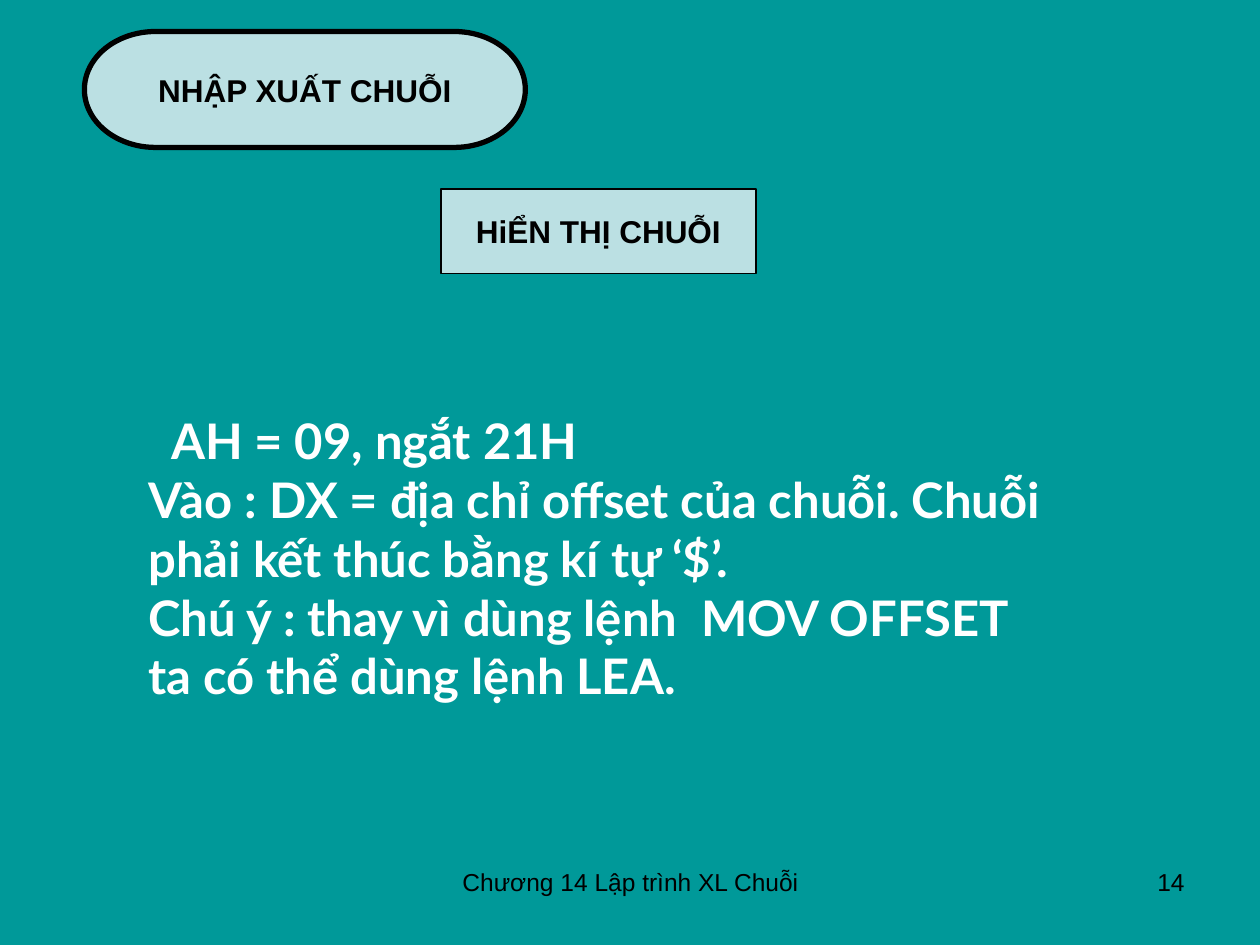
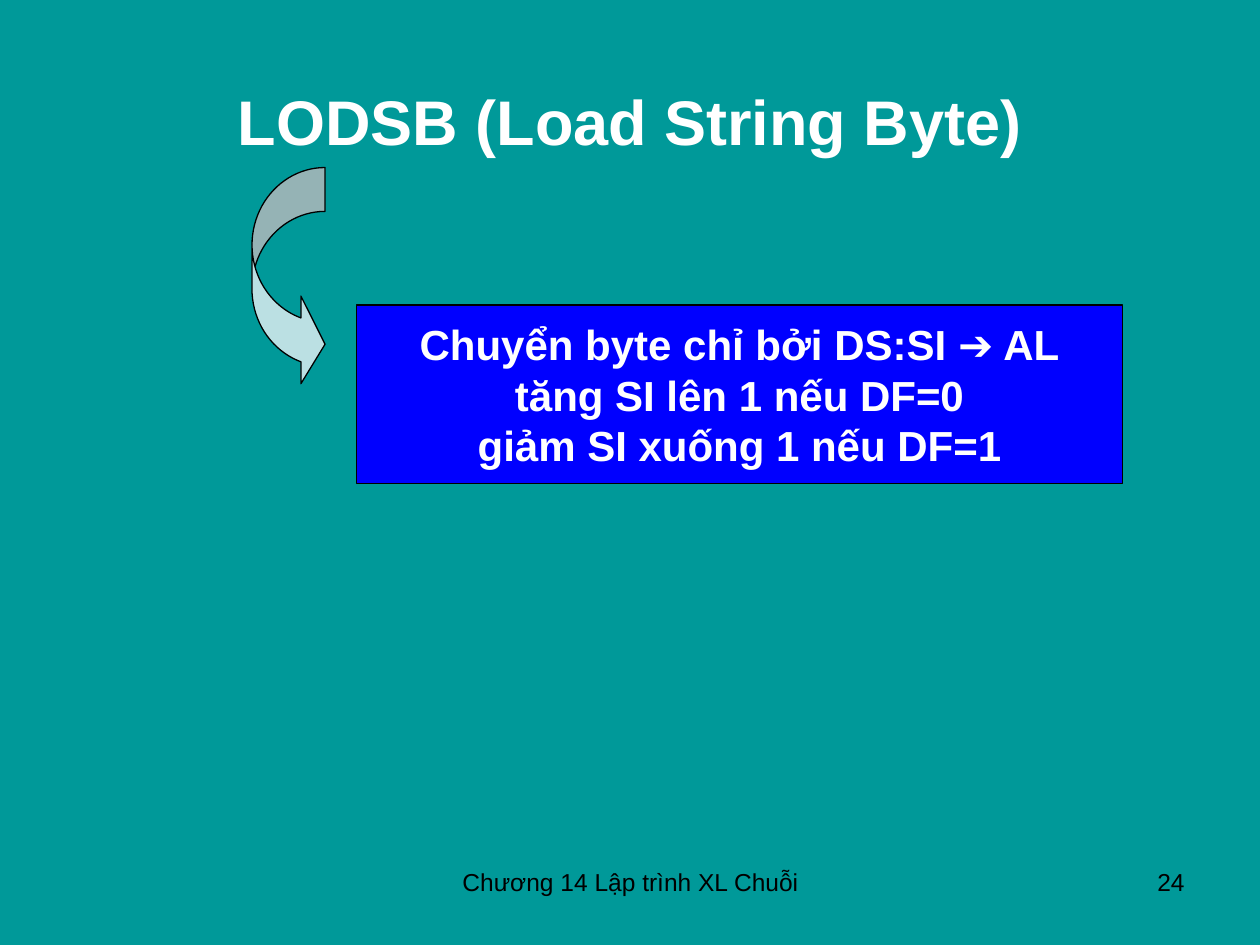
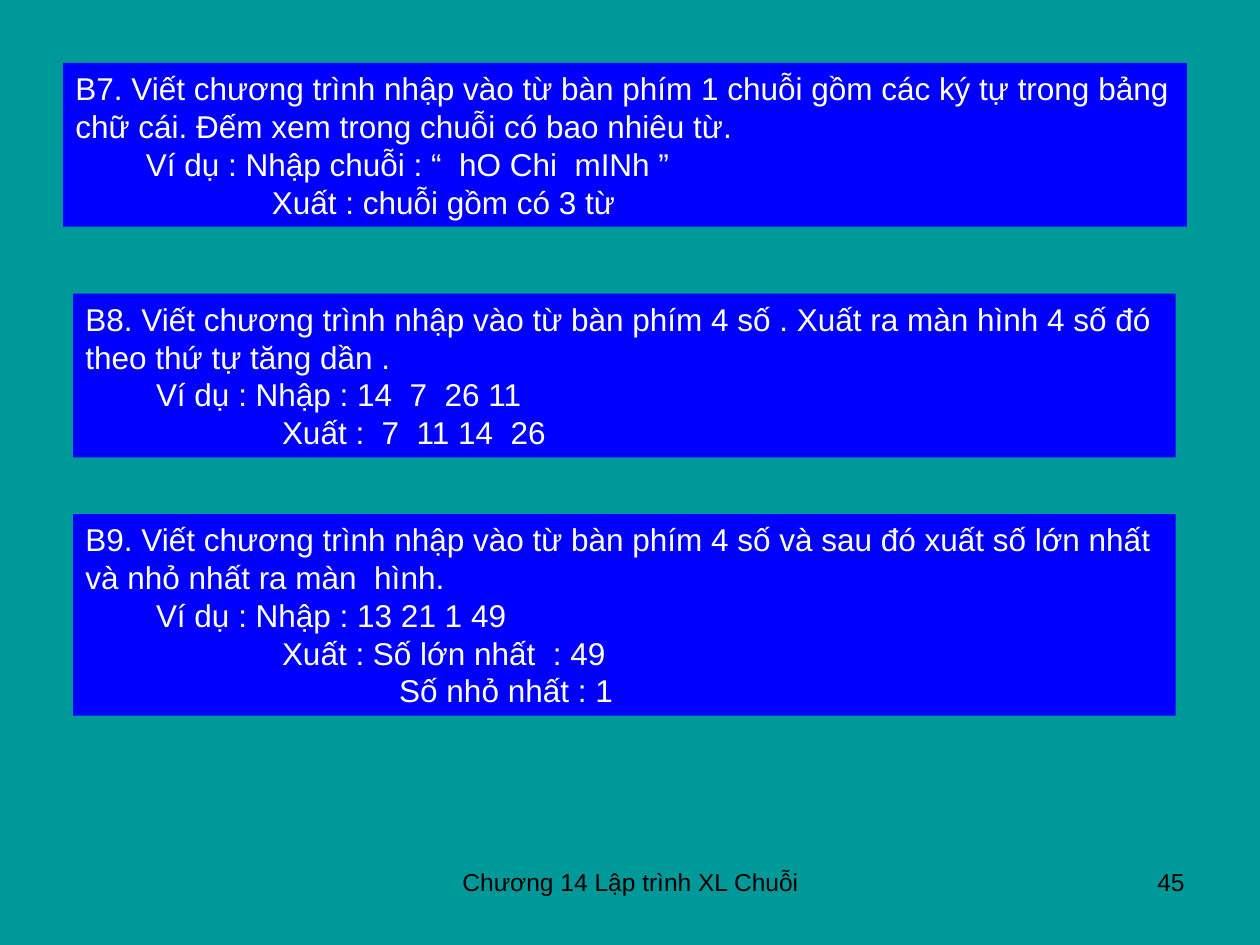
import pptx
import pptx.util
import pptx.dml.color
import pptx.enum.shapes
import pptx.enum.text

Inches = pptx.util.Inches
Pt = pptx.util.Pt
RGBColor = pptx.dml.color.RGBColor
Shape = pptx.enum.shapes.MSO_SHAPE
Align = pptx.enum.text.PP_ALIGN
Anchor = pptx.enum.text.MSO_ANCHOR

TEAL = RGBColor(0x00, 0x99, 0x99)
PALE = RGBColor(0xBB, 0xE0, 0xE3)
BLUE = RGBColor(0x00, 0x00, 0xFF)
BLACK = RGBColor(0x00, 0x00, 0x00)
WHITE = RGBColor(0xFF, 0xFF, 0xFF)

FOOTER = "Chương 14 Lập trình XL Chuỗi"
STEPS = (0, 0.56, 1.56, 2.49)  # left indent of each level of an exercise

EXERCISES = [
    ((0.5, 0.5, 8.92, 1.3), [
        (0, "B7. Viết chương trình nhập vào từ bàn phím 1 chuỗi gồm các ký tự "
            "trong bảng chữ cái. Đếm xem trong chuỗi có bao nhiêu từ."),
        (1, "Ví dụ : Nhập chuỗi : “  hO Chi  mINh ”"),
        (2, "Xuất : chuỗi gồm có 3 từ")]),
    ((0.58, 2.33, 8.75, 1.3), [
        (0, "B8. Viết chương trình nhập vào từ bàn phím 4 số . Xuất ra màn hình "
            "4 số đó theo thứ tự tăng dần ."),
        (1, "Ví dụ : Nhập : 14  7  26 11"),
        (2, "Xuất :  7  11 14  26")]),
    ((0.58, 4.08, 8.75, 1.6), [
        (0, "B9. Viết chương trình nhập vào từ bàn phím 4 số và sau đó xuất số "
            "lớn nhất và nhỏ nhất ra màn  hình."),
        (1, "Ví dụ : Nhập : 13 21 1 49"),
        (2, "Xuất : Số lớn nhất  : 49"),
        (3, "Số nhỏ nhất : 1")]),
]


def place(box):
    return [Inches(n) for n in box]


def write(shape, text, size, color, bold=False, align=Align.LEFT,
          anchor=Anchor.TOP, font="Arial"):
    frame = shape.text_frame
    frame.text = text
    frame.word_wrap = True
    frame.vertical_anchor = anchor
    for para in frame.paragraphs:
        para.alignment = align
        for run in para.runs:
            run.font.name = font
            run.font.size = Pt(size)
            run.font.bold = bold
            run.font.color.rgb = color


def indent(para, left, first=0):
    props = para._p.get_or_add_pPr()
    props.set("marL", str(Inches(left)))
    props.set("indent", str(Inches(first)))


def label(slide, box, text, size, color, **style):
    shape = slide.shapes.add_textbox(*place(box))
    write(shape, text, size, color, **style)
    return shape


def panel(slide, kind, box, fill, line=None):
    """Add a filled shape, outlined in black when a line width is given."""
    shape = slide.shapes.add_shape(kind, *place(box))
    shape.shadow.inherit = False
    shape.fill.solid()
    shape.fill.fore_color.rgb = fill
    if line:
        shape.line.color.rgb = BLACK
        shape.line.width = Pt(line)
    else:
        shape.line.fill.background()
    return shape


def start(deck, number):
    """Add a slide with the shared background, footer and number."""
    slide = deck.slides.add_slide(deck.slide_layouts[6])
    slide.background.fill.solid()
    slide.background.fill.fore_color.rgb = TEAL
    label(slide, (3.42, 6.83, 3.17, 0.52), FOOTER, 14, BLACK, align=Align.CENTER)
    label(slide, (7.17, 6.83, 2.33, 0.52), str(number), 14, BLACK, align=Align.RIGHT)
    return slide


def display(deck):
    slide = start(deck, 14)
    middle = dict(bold=True, align=Align.CENTER, anchor=Anchor.MIDDLE)
    topic = panel(slide, Shape.FLOWCHART_TERMINATOR, (0.67, 0.25, 3.5, 0.92), PALE, 3)
    write(topic, "NHẬP XUẤT CHUỖI", 18, BLACK, **middle)
    part = panel(slide, Shape.FLOWCHART_PROCESS, (3.5, 1.5, 2.5, 0.67), PALE, 0.75)
    write(part, "HiỂN THỊ CHUỖI", 18, BLACK, **middle)
    rules = label(slide, (1.08, 3.21, 7.42, 2.9), "\n".join([
        "AH = 09, ngắt 21H",
        "Vào : DX = địa chỉ offset của chuỗi. Chuỗi phải kết thúc bằng kí tự ‘$’.",
        "Chú ý : thay vì dùng lệnh  MOV OFFSET ta có thể dùng lệnh LEA.",
    ]), 28, WHITE, bold=True, font="Lato")
    indent(rules.text_frame.paragraphs[0], 0, 0.18)


def load(deck):
    slide = start(deck, 24)
    middle = dict(bold=True, align=Align.CENTER, anchor=Anchor.MIDDLE)
    label(slide, (0.5, 0.33, 9, 1.25), "LODSB (Load String Byte)", 36, WHITE, **middle)
    arrow = panel(slide, Shape.CURVED_RIGHT_ARROW, (2, 1.33, 0.58, 1.75), PALE, 0.75)
    for i, value in enumerate((0.6, 1.2, 0.33)):
        arrow.adjustments[i] = value
    action = panel(slide, Shape.RECTANGLE, (2.83, 2.42, 6.08, 1.42), BLUE, 0.75)
    write(action, "Chuyển byte chỉ bởi DS:SI ➔ AL\v"
          "tăng SI lên 1 nếu DF=0\vgiảm SI xuống 1 nếu DF=1", 24, WHITE, **middle)


def practice(deck):
    slide = start(deck, 45)
    for box, lines in EXERCISES:
        task = panel(slide, Shape.RECTANGLE, box, BLUE)
        write(task, "\n".join(text for level, text in lines), 18, WHITE)
        for para, (level, text) in zip(task.text_frame.paragraphs, lines):
            indent(para, STEPS[level])


def main():
    deck = pptx.Presentation()
    deck.slide_width = Inches(10)
    deck.slide_height = Inches(7.5)
    display(deck)
    load(deck)
    practice(deck)
    deck.save("out.pptx")


if __name__ == "__main__":
    main()
